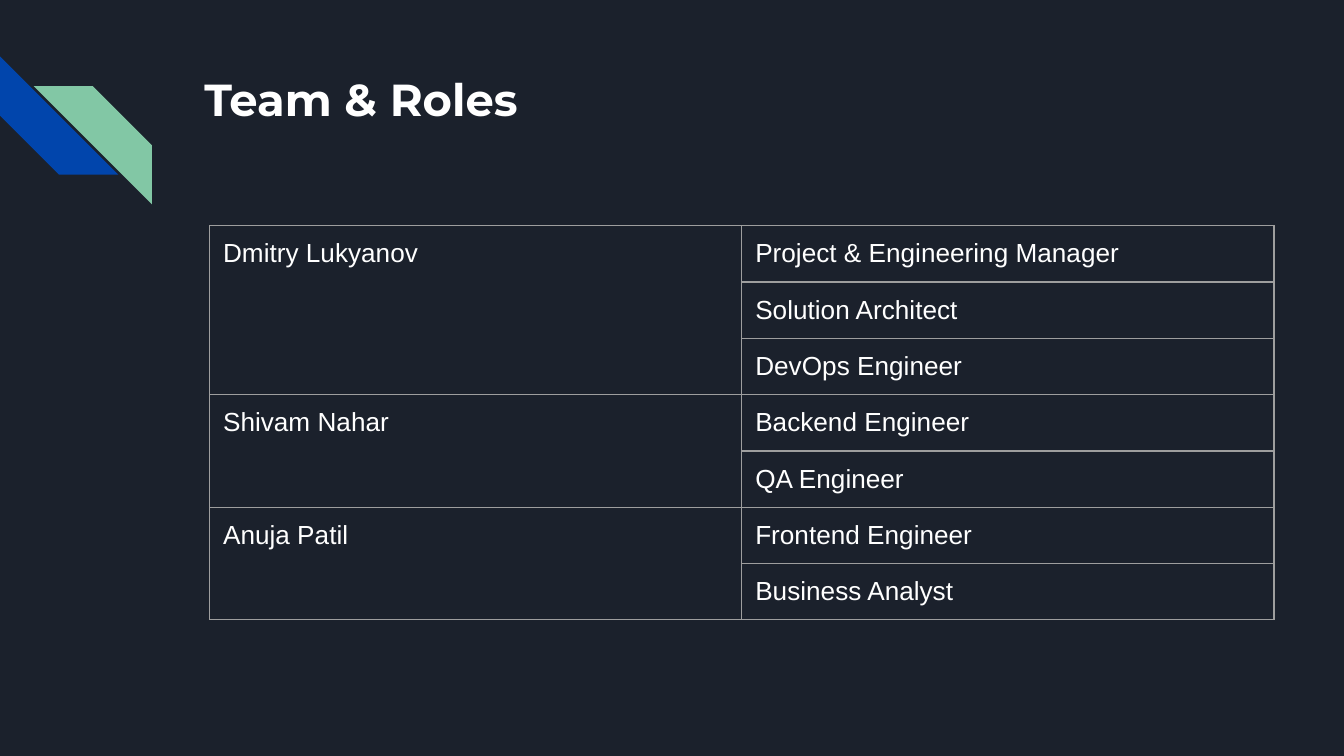
from lxml.etree import SubElement
from pptx import Presentation
from pptx.dml.color import RGBColor
from pptx.enum.shapes import MSO_SHAPE as Shape
from pptx.enum.text import MSO_ANCHOR as Anchor, PP_ALIGN as Align
from pptx.oxml.ns import qn
from pptx.util import Inches, Pt

TITLE = "Team & Roles"
TEAM = {
    "Dmitry Lukyanov": [
        "Project & Engineering Manager", "Solution Architect", "DevOps Engineer",
    ],
    "Shivam Nahar": ["Backend Engineer", "QA Engineer"],
    "Anuja Patil": ["Frontend Engineer", "Business Analyst"],
}
COLORS = {
    "background": "1B212C", "text": "FFFFFF", "border": "9E9E9E",
    "blue": "0145AC", "green": "82C7A5",
}
STRIPE_SIZE = 0.88
# left, top, rotation, mirrored, colour
STRIPES = [(0, 0.42, 270, False, "blue"), (0.25, 0.64, 0, True, "green")]
TABLE_LEFT, TABLE_TOP = 1.56, 1.68
TABLE_WIDTH, TABLE_HEIGHT = 7.92, 2.92
INSET = Inches(0.1)


def color(name):
    return RGBColor.from_string(COLORS[name])


def set_insets(target):
    target.margin_left = target.margin_right = INSET
    target.margin_top = target.margin_bottom = INSET


def write(frame, text, font_name, size, bold=False):
    para = frame.paragraphs[0]
    para.alignment = Align.LEFT
    span = para.add_run()
    span.text = text
    span.font.name = font_name
    span.font.size = Pt(size)
    span.font.bold = bold
    span.font.color.rgb = color("text")


def add_stripe(slide, left, top, rotation, mirrored, fill):
    stripe = slide.shapes.add_shape(
        Shape.DIAGONAL_STRIPE, Inches(left), Inches(top),
        Inches(STRIPE_SIZE), Inches(STRIPE_SIZE))
    stripe.rotation = rotation
    if mirrored:
        stripe._element.spPr.xfrm.set("flipH", "1")
    stripe.shadow.inherit = False
    stripe.fill.solid()
    stripe.fill.fore_color.rgb = color(fill)
    stripe.line.fill.background()


def format_cell(cell):
    properties = cell._tc.get_or_add_tcPr()
    for side in ("lnL", "lnR", "lnT", "lnB"):
        line = SubElement(properties, qn(f"a:{side}"), w=str(Pt(0.75)))
        fill = SubElement(line, qn("a:solidFill"))
        SubElement(fill, qn("a:srgbClr"), val=COLORS["border"])
    cell.fill.background()
    set_insets(cell)
    cell.vertical_anchor = Anchor.TOP


def add_team_table(slide):
    row_count = sum(len(roles) for roles in TEAM.values())
    table = slide.shapes.add_table(
        row_count, 2, Inches(TABLE_LEFT), Inches(TABLE_TOP),
        Inches(TABLE_WIDTH), Inches(TABLE_HEIGHT)).table
    table.first_row = table.horz_banding = False
    for cell in table.iter_cells():
        format_cell(cell)

    first = 0
    for member, roles in TEAM.items():
        name_cell = table.cell(first, 0)
        name_cell.merge(table.cell(first + len(roles) - 1, 0))
        write(name_cell.text_frame, member, "Arial", 14)
        for row, role in enumerate(roles, first):
            write(table.cell(row, 1).text_frame, role, "Arial", 14)
        first += len(roles)


def main():
    deck = Presentation()
    deck.slide_width = Inches(10)
    deck.slide_height = deck.slide_width * 9 // 16
    slide = deck.slides.add_slide(deck.slide_layouts.get_by_name("Title Only"))
    slide.background.fill.solid()
    slide.background.fill.fore_color.rgb = color("background")

    for stripe in STRIPES:
        add_stripe(slide, *stripe)

    title = slide.shapes.title
    title.left, title.top = Inches(1.42), Inches(0.43)
    title.width, title.height = Inches(7.7), Inches(1)
    frame = title.text_frame
    set_insets(frame)
    frame.vertical_anchor = Anchor.TOP
    write(frame, TITLE, "Montserrat", 24, bold=True)

    add_team_table(slide)
    deck.save("out.pptx")


if __name__ == "__main__":
    main()
